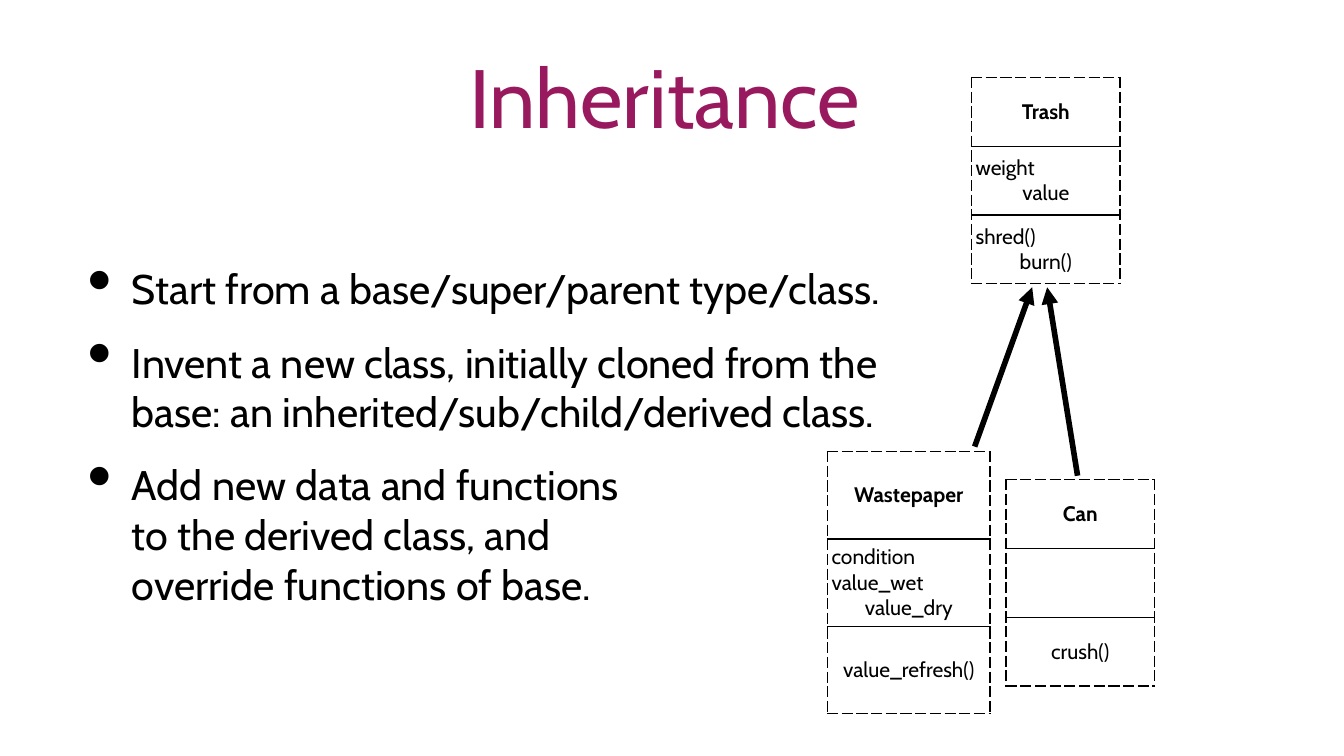
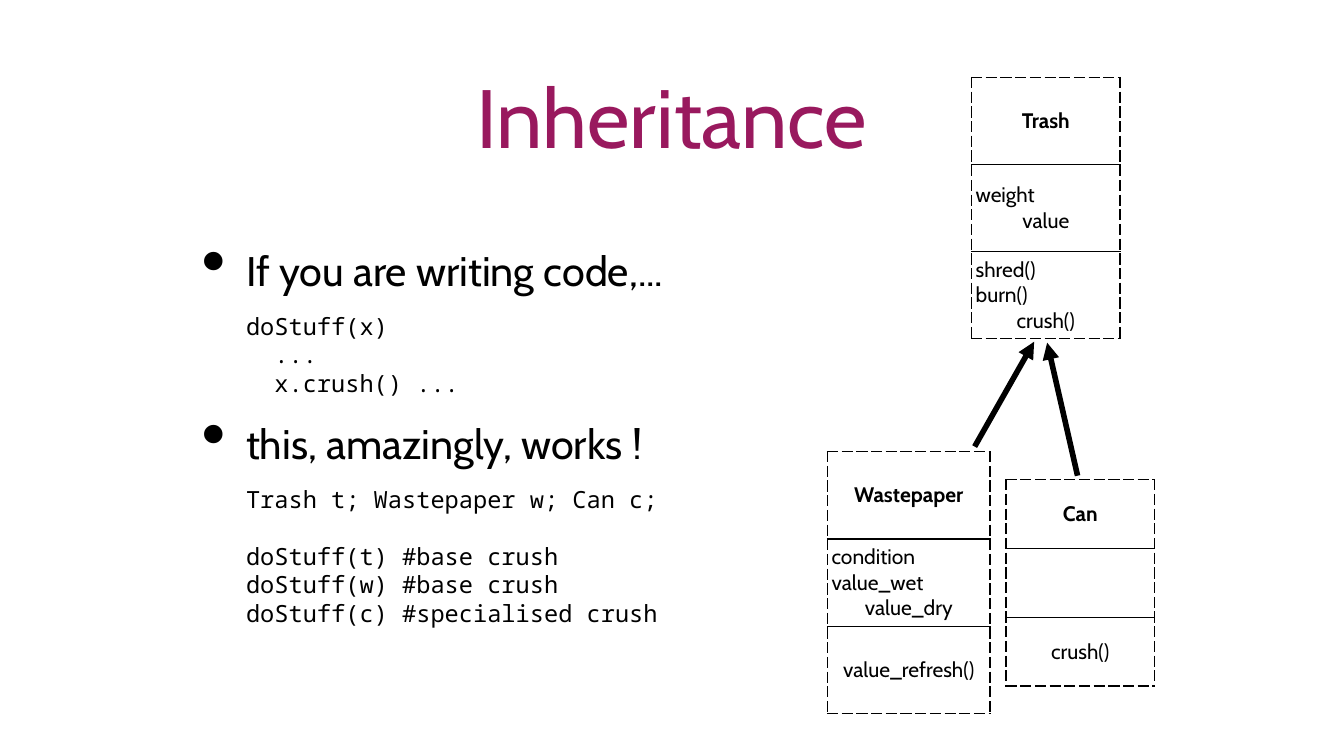
from lxml import etree
from pptx import Presentation
from pptx.dml.color import RGBColor
from pptx.enum.shapes import MSO_CONNECTOR
from pptx.enum.text import MSO_ANCHOR, PP_ALIGN
from pptx.oxml.ns import qn
from pptx.util import Pt

BLACK, PURPLE = "000000", "99195E"
SANS, MONO = "Cabin", "Noto Sans Mono"
TEXT_INDENT, BULLET_HANG = 49, 31.7
CODE_PITCH = 20.4


def color(value):
    return RGBColor.from_string(value)


def child(parent, tag, **attrs):
    return etree.SubElement(parent, qn(tag), attrs)


def style(p, size, font=SANS, fill=BLACK, bold=False):
    for r in p.runs:
        r.font.size = Pt(size)
        r.font.name = font
        r.font.bold = bold
        r.font.color.rgb = color(fill)


def add_text_box(slide, left, top, width, height):
    sp = slide.shapes.add_textbox(Pt(left), Pt(top), Pt(width), Pt(height))
    tf = sp.text_frame
    tf.word_wrap = True
    tf.vertical_anchor = MSO_ANCHOR.MIDDLE
    tf.margin_left = tf.margin_right = tf.margin_top = tf.margin_bottom = Pt(4.3)
    return tf


def add_title(slide, text, left, top):
    p = add_text_box(slide, left, top, 772.6, 135.4).paragraphs[0]
    p.text = text
    p.alignment = PP_ALIGN.CENTER
    style(p, 59.1, fill=PURPLE)


def add_indented(tf, text, gap):
    """Start an indented paragraph; the first one in a box gets no gap."""
    first = not tf.paragraphs[0].runs
    p = tf.paragraphs[0] if first else tf.add_paragraph()
    p.text = text
    p.space_before = Pt(0 if first else gap)
    p._p.get_or_add_pPr().set("marL", str(Pt(TEXT_INDENT)))
    return p


def add_bullet(tf, text, gap=16.9):
    p = add_indented(tf, text, gap)
    pPr = p._p.get_or_add_pPr()
    pPr.set("indent", str(-Pt(BULLET_HANG)))
    child(pPr, "a:buSzPct", val="171000")
    child(pPr, "a:buChar", char="•")
    style(p, 29.5)


def add_code(tf, text, gap=12):
    p = add_indented(tf, text, gap)
    p.line_spacing = Pt(CODE_PITCH)
    style(p, 16.9, MONO)


def set_border(cell, side, dash):
    ln = child(cell._tc.get_or_add_tcPr(), f"a:ln{side}", w=str(Pt(1)))
    child(child(ln, "a:solidFill"), "a:srgbClr", val=BLACK)
    child(ln, "a:prstDash", val=dash)


def fill_cell(cell, lines, bold):
    """Left-align the lines of a member list, with the last one centred."""
    cell.margin_left = cell.margin_right = Pt(2.9)
    cell.margin_top = cell.margin_bottom = Pt(2.9)
    cell.vertical_anchor = MSO_ANCHOR.MIDDLE
    tf = cell.text_frame
    tf.text = "\n".join(lines)
    for p in tf.paragraphs:
        p.alignment = PP_ALIGN.LEFT
        style(p, 15, bold=bold)
    tf.paragraphs[-1].alignment = PP_ALIGN.CENTER


def add_class(slide, left, top, width, row_height, name, data, functions):
    """Draw a class as a dashed box with name, data and function rows."""
    sections = [[name], data, functions]
    last = len(sections) - 1
    table = slide.shapes.add_table(len(sections), 1, Pt(left), Pt(top), Pt(width),
                                   Pt(row_height * len(sections))).table
    table.first_row = table.horz_banding = False
    for i, lines in enumerate(sections):
        table.rows[i].height = Pt(row_height)
        cell = table.cell(i, 0)
        fill_cell(cell, lines, bold=i == 0)
        set_border(cell, "L", "lgDash")
        set_border(cell, "R", "lgDash")
        set_border(cell, "T", "lgDash" if i == 0 else "solid")
        set_border(cell, "B", "lgDash" if i == last else "solid")
        cell.fill.background()


def add_arrow(slide, start, end):
    line = slide.shapes.add_connector(MSO_CONNECTOR.STRAIGHT, *map(Pt, start + end))
    line.line.width = Pt(4)
    line.line.color.rgb = color(BLACK)
    child(line.line._get_or_add_ln(), "a:tailEnd", type="triangle")
    child(line._element.spPr, "a:effectLst")


def add_class_diagram(slide, base_row_height, base_functions, arrow_ends):
    add_class(slide, 694, 55.4, 106, base_row_height, "Trash",
              ["weight", "value"], base_functions)
    add_class(slide, 718.6, 342.7, 106, 49.1, "Can", [], ["crush()"])
    add_class(slide, 591.1, 322.6, 116, 62.4, "Wastepaper",
              ["condition", "value_wet", "value_dry"], ["value_refresh()"])
    for start, end in zip([(769.7, 339.8), (696.2, 319)], arrow_ends):
        add_arrow(slide, start, end)


def add_concept_slide(prs):
    slide = prs.slides.add_slide(prs.slide_layouts[6])
    add_title(slide, "Inheritance", 88.6, 0.7)
    tf = add_text_box(slide, 41, 153.4, 648, 316)
    for text in (
        "Start from a base/super/parent type/class.",
        "Invent a new class, initially cloned from the base: "
        "an inherited/sub/child/derived class.",
        "Add new data and functions\nto the derived class, and\n"
        "override functions of base.",
    ):
        add_bullet(tf, text)
    add_class_diagram(slide, 49.1, ["shred()", "burn()"],
                      [(748, 205.2), (737.3, 205.2)])


def add_code_slide(prs):
    slide = prs.slides.add_slide(prs.slide_layouts[6])
    add_title(slide, "Inheritance", 93.6, 14.4)
    tf = add_text_box(slide, 122.4, 153.4, 567.4, 316)
    add_bullet(tf, "If you are writing code,...")
    add_code(tf, "doStuff(x)\n  ...\n  x.crush() ...")
    add_bullet(tf, "this, amazingly, works !", gap=15)
    add_code(tf, "Trash t; Wastepaper w; Can c;")
    add_code(tf, "doStuff(t) #base crush\ndoStuff(w) #base crush\n"
                 "doStuff(c) #specialised crush", gap=CODE_PITCH)
    add_class_diagram(slide, 62.2, ["shred()", "burn()", "crush()"],
                      [(748, 244.8), (738.7, 244.1)])


def main():
    prs = Presentation()
    prs.slide_width, prs.slide_height = Pt(960), Pt(540)
    add_concept_slide(prs)
    add_code_slide(prs)
    prs.save("out.pptx")


if __name__ == "__main__":
    main()
